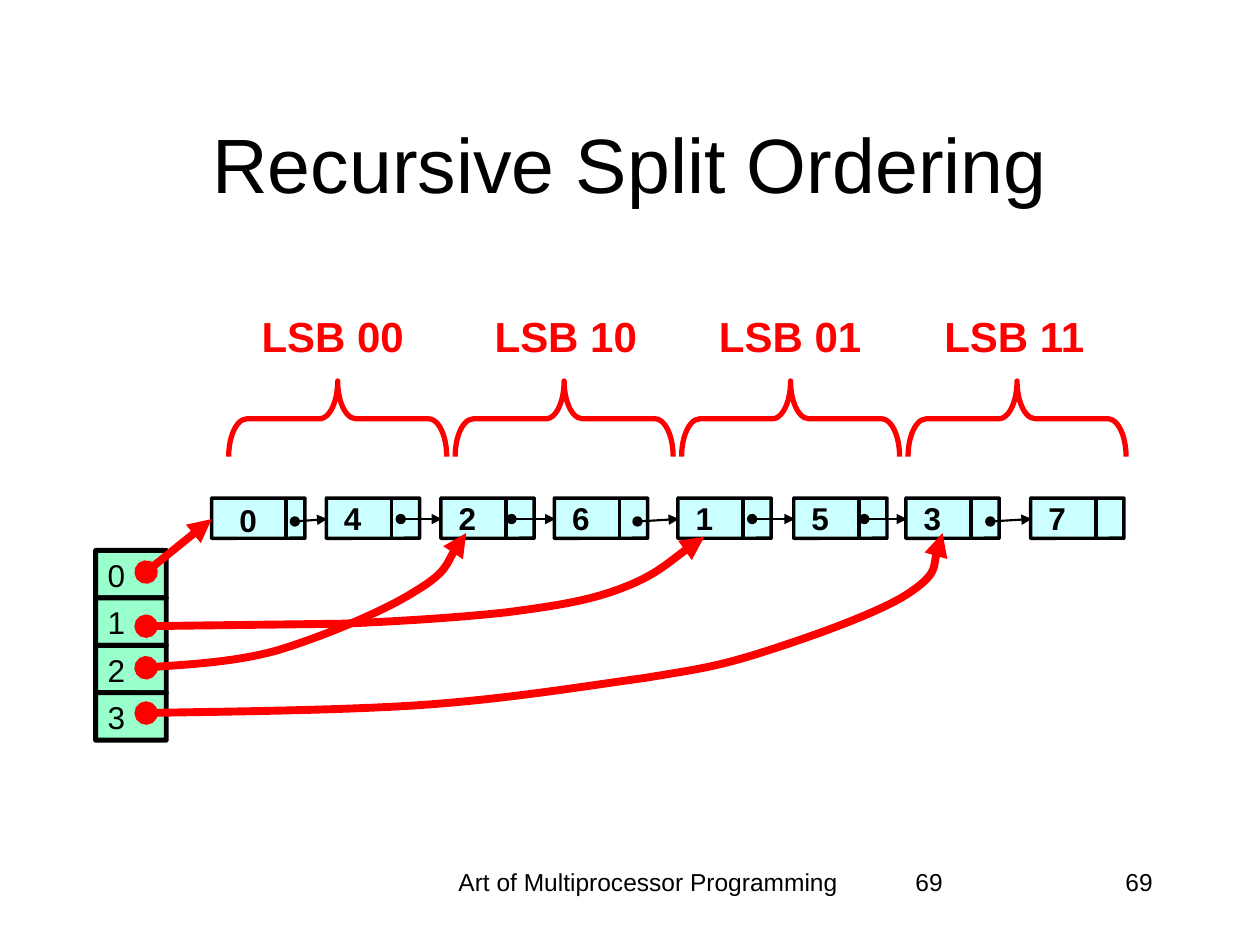
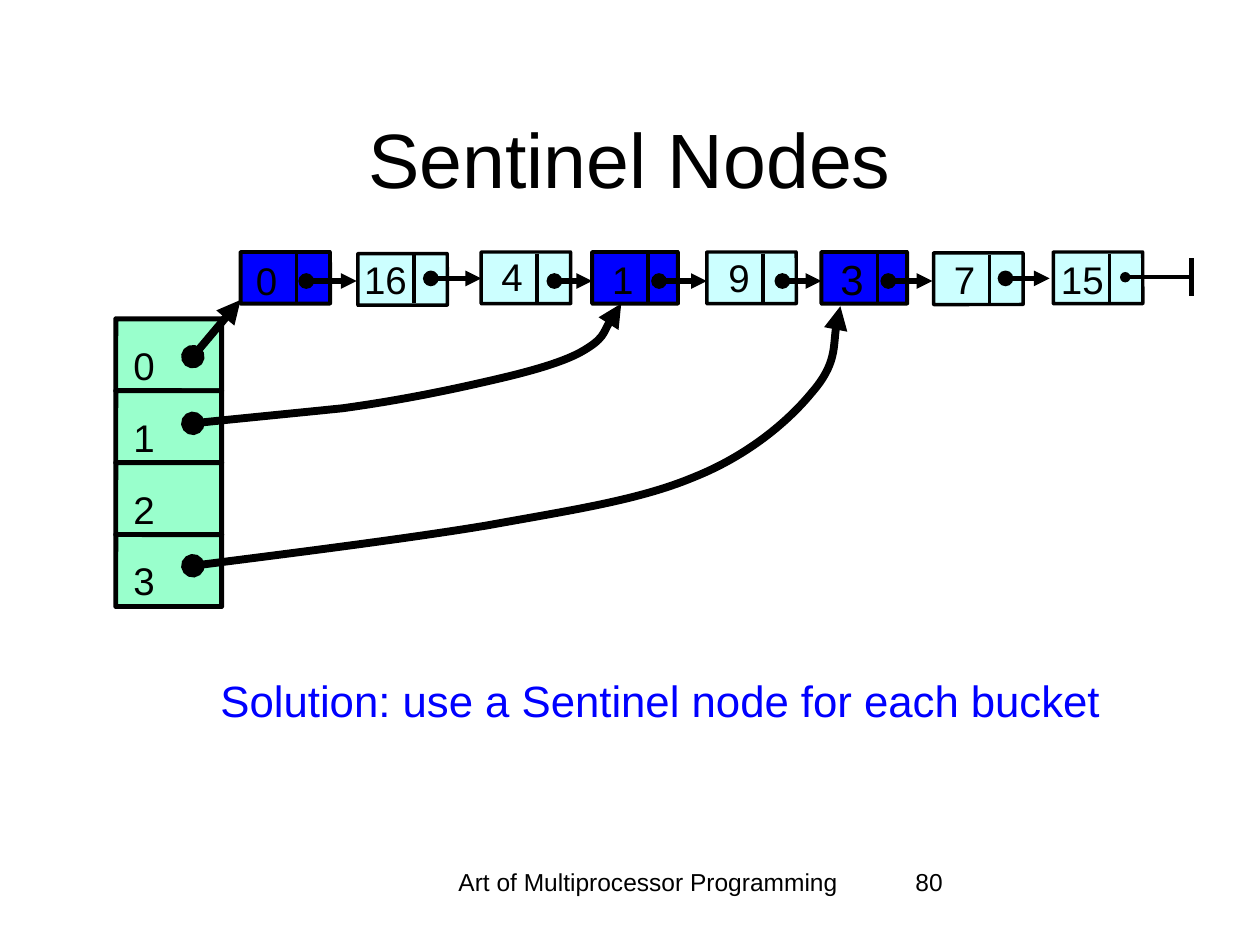
from dataclasses import dataclass

from lxml.etree import SubElement
from pptx import Presentation
from pptx.dml.color import RGBColor
from pptx.enum.shapes import MSO_CONNECTOR, MSO_SHAPE
from pptx.enum.text import MSO_ANCHOR, MSO_AUTO_SIZE, PP_ALIGN
from pptx.oxml.ns import qn
from pptx.util import Pt


@dataclass(frozen=True)
class Theme:
    font: str = "Arial"
    black: str = "000000"
    red: str = "FF0000"
    blue: str = "0000FF"
    node: str = "CCFFFF"
    bucket: str = "99FFCC"
    title_size: int = 44
    footer_size: int = 14
    range_size: int = 24
    note_size: int = 25
    node_line: float = 1.98
    sentinel_line: float = 2.25
    bucket_line: float = 2.83
    brace_line: float = 3
    pointer_line: float = 4.5


THEME = Theme()
FOOTER_TOP, FOOTER_HEIGHT = 492, 36


# Basic elements
def add_text(slide, words, box, size=18, color=THEME.black, bold=False,
             align=PP_ALIGN.LEFT, anchor=MSO_ANCHOR.TOP, fit=False, spacing=None):
    text_box = slide.shapes.add_textbox(*map(Pt, box))
    frame = text_box.text_frame
    frame.word_wrap = not fit
    frame.auto_size = MSO_AUTO_SIZE.SHAPE_TO_FIT_TEXT if fit else MSO_AUTO_SIZE.NONE
    frame.vertical_anchor = anchor
    if fit:
        frame.margin_left = frame.margin_right = Pt(6.5)
    paragraph = frame.paragraphs[0]
    paragraph.alignment = align
    if spacing:
        paragraph.line_spacing = spacing
    run = paragraph.add_run()
    run.text = words
    run.font.name = THEME.font
    run.font.size = Pt(size)
    run.font.bold = bold
    run.font.color.rgb = RGBColor.from_string(color)


def add_digits(slide, digits, left, top, size, bold=False):
    box = (left, top, 0.556 * size * len(digits) + 13, 1.15 * size + 7.2)
    add_text(slide, digits, box, size=size, bold=bold, fit=True)


def set_line(shape, color, width, head=None, tail=None):
    shape.line.color.rgb = RGBColor.from_string(color)
    shape.line.width = Pt(width)
    outline = shape._element.spPr.find(qn("a:ln"))
    for tag, kind in (("a:headEnd", head), ("a:tailEnd", tail)):
        if kind:
            SubElement(outline, qn(tag), type=kind)


def add_line(slide, start, end, color=THEME.black, width=THEME.node_line,
             head=None, tail=None):
    line = slide.shapes.add_connector(MSO_CONNECTOR.STRAIGHT, *map(Pt, (*start, *end)))
    set_line(line, color, width, head, tail)
    SubElement(line._element.spPr, qn("a:effectLst"))


def add_cell(slide, box, fill, width):
    cell = slide.shapes.add_shape(MSO_SHAPE.ROUNDED_RECTANGLE, *map(Pt, box))
    cell.adjustments[0] = 0.004
    cell.shadow.inherit = False
    cell.fill.solid()
    cell.fill.fore_color.rgb = RGBColor.from_string(fill)
    set_line(cell, THEME.black, width)


def add_curve(slide, start, curves, color):
    """Draw a pointer from start through cubic curves (x1, y1, x2, y2, x, y)."""
    points = [(Pt(c[i]), Pt(c[i + 1])) for c in curves for i in (0, 2, 4)]
    builder = slide.shapes.build_freeform(Pt(start[0]), Pt(start[1]))
    builder.add_line_segments(points, close=False)
    pointer = builder.convert_to_shape()
    pointer.shadow.inherit = False
    pointer.fill.background()
    set_line(pointer, color, THEME.pointer_line, "oval", "triangle")
    # Each three straight steps become one cubic curve
    steps = pointer._element.xpath(".//a:lnTo")
    outline = steps[0].getparent()
    for i in range(0, len(steps), 3):
        cubic = SubElement(outline, qn("a:cubicBezTo"))
        for step in steps[i:i + 3]:
            cubic.append(step[0])
            outline.remove(step)


# Parts of the diagrams
def add_frame(presentation, title, title_box, number):
    slide = presentation.slides.add_slide(presentation.slide_layouts[6])
    add_text(slide, title, title_box, size=THEME.title_size,
             align=PP_ALIGN.CENTER, anchor=MSO_ANCHOR.MIDDLE)
    add_text(slide, "Art of Multiprocessor Programming",
             (246.2, FOOTER_TOP, 248.4, FOOTER_HEIGHT),
             size=THEME.footer_size, align=PP_ALIGN.CENTER)
    add_page_number(slide, number, PP_ALIGN.LEFT)
    return slide


def add_page_number(slide, number, align):
    add_text(slide, number, (516, FOOTER_TOP, 149.8, FOOTER_HEIGHT),
             size=THEME.footer_size, align=align)


def add_buckets(slide, left, top, width, height, label_offset, size):
    for i in range(4):
        y = top + i * height
        add_cell(slide, (left, y, width, height), THEME.bucket, THEME.bucket_line)
        add_digits(slide, str(i), left + label_offset[0], y + label_offset[1], size)


def add_node(slide, box, divider, fill=THEME.node, width=THEME.node_line):
    left, top, _, height = box
    add_cell(slide, box, fill, width)
    add_line(slide, (left + divider, top + 1), (left + divider, top + height - 1))


def add_pointers(slide, direct, curves, color):
    add_line(slide, *direct, color=color, width=THEME.pointer_line,
             head="oval", tail="triangle")
    for start, *parts in curves:
        add_curve(slide, start, parts, color)


def add_ranges(slide):
    labels = [("LSB 00", 140.4, 99.4), ("LSB 10", 273.6, 99.4),
              ("LSB 01", 401.8, 99.4), ("LSB 11", 532.1, 95)]
    for i, (label, left, width) in enumerate(labels):
        brace = slide.shapes.add_shape(
            MSO_SHAPE.RIGHT_BRACE, Pt(171.4 + 129.4 * i), Pt(177), Pt(43.2), Pt(124.6))
        brace.rotation = 270
        brace.adjustments[0] = 0.241
        brace.shadow.inherit = False
        brace.fill.background()
        set_line(brace, THEME.red, THEME.brace_line)
        add_text(slide, label, (left, 182, width, 27.4), size=THEME.range_size,
                 color=THEME.red, bold=True, align=PP_ALIGN.CENTER, fit=True, spacing=0.7)


# Slides
def build_split_ordering(presentation):
    slide = add_frame(presentation, "Recursive Split Ordering", (54, 48.2, 612, 90), "69")
    add_page_number(slide, "69", PP_ALIGN.RIGHT)
    add_ranges(slide)

    # List: key, left, divider, label offset, label top, link start
    nodes = [
        ("0", 121, 42.5, 9.4, 283, (168.5, 298)),
        ("4", 186.5, 37.2, 3.6, 281.5, (229, 296.6)),
        ("2", 252, 37.2, 3.6, 281.5, (292.3, 296.6)),
        ("6", 316.8, 37.2, 3.6, 281.5, (364.3, 298)),
        ("1", 387.4, 37.2, 3.6, 281.5, (429.8, 296.6)),
        ("5", 453.6, 37.2, 3.6, 281.5, (493.9, 296.6)),
        ("3", 517.7, 37.2, 3.6, 281.5, (565.9, 298)),
        ("7", 589, 37.2, 3.6, 281.5, None),
    ]
    for key, left, divider, offset, label_top, _ in nodes:
        add_node(slide, (left, 284.6, 53.3, 23), divider)
        add_digits(slide, key, left + offset, label_top, 18, bold=True)
    for node, following in zip(nodes, nodes[1:]):
        add_line(slide, node[-1], (following[1] + 0.6, 296.6), width=1.23,
                 head="oval", tail="triangle")

    # Bucket table
    add_buckets(slide, 54.7, 314.6, 40.3, 27.1, (0.3, -0.5), 18)
    add_pointers(slide, ((83.5, 326.9), (121, 296.6)), [
        ((83.5, 357.8),
         (120.7, 357.3, 157.9, 356.9, 195.1, 356.4),
         (229, 355, 262.8, 352.8, 289.4, 349.9),
         (316.8, 346.3, 336.2, 343.4, 355, 336.2),
         (374.4, 329, 393.1, 312.5, 402.5, 306.7)),
        ((83.5, 407.5),
         (110.9, 406.8, 198.7, 406.1, 246.2, 402.5),
         (293.8, 398.9, 337, 391.7, 368.6, 387.4),
         (399.6, 382.3, 409.7, 380.9, 434.9, 373),
         (460.1, 365, 501.8, 350.6, 519.1, 339.1),
         (536.4, 327.6, 535, 311.8, 538.6, 304.6)),
        ((83.5, 381.6),
         (96.5, 380.2, 133.9, 378.7, 159.1, 371.5),
         (185, 363.6, 219.6, 349.2, 237.6, 337.7),
         (255.6, 326.9, 260.6, 311, 266.4, 304.6)),
    ], THEME.red)


def build_sentinel_nodes(presentation):
    slide = add_frame(presentation, "Sentinel Nodes", (54, 64.1, 612, 51.8), "80")

    # Bucket table
    add_buckets(slide, 66.2, 182.2, 60.5, 41.1, (3.6, 9.5), 22)
    add_pointers(slide, ((110.2, 203.8), (137.5, 171.4)), [
        ((110.2, 241.9),
         (138.7, 239, 167.3, 236.2, 195.8, 233.3),
         (221.8, 229.7, 244.8, 225.4, 267.8, 220.3),
         (290.2, 215.3, 316.1, 209.5, 331.2, 201.6),
         (345.6, 193.7, 349.9, 179.3, 355, 173.5)),
        ((110.2, 323.3),
         (138.2, 319.7, 231.1, 308.2, 278.6, 300.2),
         (326.2, 291.6, 365, 285.8, 396, 272.9),
         (427, 260.6, 450, 241.2, 463.7, 224.6),
         (478.1, 208.1, 476.6, 185, 480.2, 175)),
    ], THEME.black)

    # List: key, left, top, width, label offset, label top, label size, link
    nodes = [
        ("0", 137.5, 144, 51.1, 2.2, 143.3, 22, (175, 203.8, 160.6)),
        ("16", 204.5, 144.9, 51.1, -2.9, 142.6, 22, (246.2, 275, 159.1)),
        ("4", 275, 144, 51.1, 5.1, 141.1, 22, (316.8, 338.4, 160.6)),
        ("1", 338.4, 144, 49, 5, 142.6, 22, (376.6, 403.9, 160.6)),
        ("9", 403.9, 144, 51.1, 5.8, 141.8, 22, (447.1, 469.4, 160.6)),
        ("3", 469.4, 144, 49, 4.3, 141.6, 24, (507.6, 532.8, 160.6)),
        ("7", 533.5, 144.5, 51.1, 5.1, 142.6, 22, (574.6, 599.8, 159.1)),
        ("15", 601.9, 144, 51.1, -2.1, 142.6, 22, None),
    ]
    sentinels = {"0", "1", "3"}
    for key, left, top, width, offset, label_top, size, _ in nodes:
        box = (left, top, width, 29.5)
        if key in sentinels:
            add_node(slide, box, 32, THEME.blue, THEME.sentinel_line)
        else:
            add_node(slide, box, 32)
        add_digits(slide, key, left + offset, label_top, size)
    for *_, (start, end, y) in nodes[:-1]:
        add_line(slide, (start, y), (end, y), width=3, head="oval", tail="triangle")

    # End of the list
    add_line(slide, (643, 158.4), (681.1, 158.4), head="oval")
    add_line(slide, (681.1, 147.6), (681.1, 169.2), width=2.83)

    add_text(slide, "Solution: use a Sentinel node for each bucket",
             (119.5, 381.6, 521.3, 36.7), size=THEME.note_size, color=THEME.blue, fit=True)


def main():
    presentation = Presentation()
    presentation.slide_width, presentation.slide_height = Pt(720), Pt(540)
    build_split_ordering(presentation)
    build_sentinel_nodes(presentation)
    presentation.save("out.pptx")


if __name__ == "__main__":
    main()
